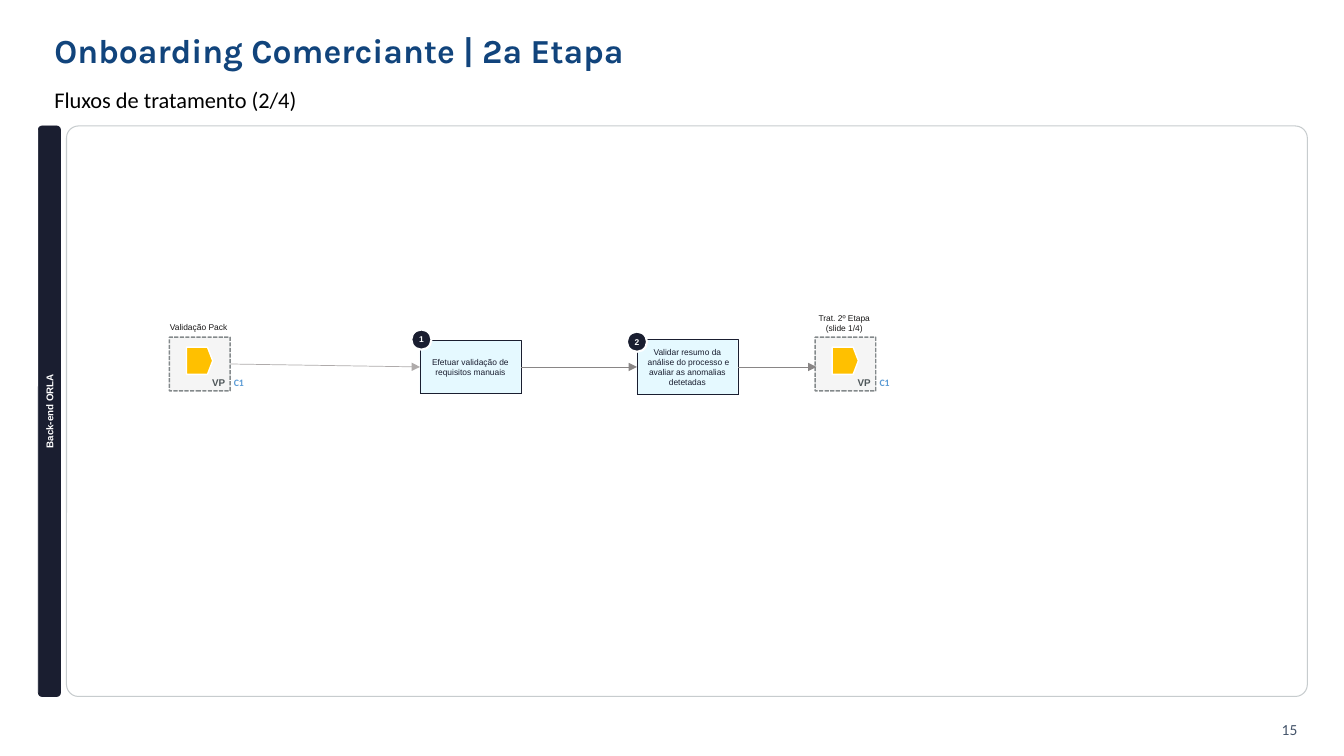
import pptx
import pptx.util
import pptx.dml.color
import pptx.enum.dml
import pptx.enum.shapes
import pptx.enum.text
import pptx.oxml
import pptx.oxml.ns

Pt = pptx.util.Pt
RGB = pptx.dml.color.RGBColor.from_string
Kind = pptx.enum.shapes.MSO_SHAPE
Dash = pptx.enum.dml.MSO_LINE
Align = pptx.enum.text.PP_ALIGN
Anchor = pptx.enum.text.MSO_ANCHOR
qn = pptx.oxml.ns.qn
NS = pptx.oxml.ns.nsdecls("a")

HUE = {"navy": "1A1E30", "title": "11447C", "white": "FFFFFF", "black": "000000",
       "edge": "C7CCCE", "step": "E5F9FF", "pale": "F3F3F3", "slate": "4E5659",
       "gold": "FFC000", "blue": "5B9BD5", "ink": "181717", "page": "44546A",
       "light": "AFABAB", "grey": "898686"}

deck = pptx.Presentation()
deck.slide_width, deck.slide_height = Pt(960), Pt(540)
slide = deck.slides.add_slide(deck.slide_layouts[5])


def write(shape, text, size, hue, font="Arial", bold=False, align=Align.LEFT,
          anchor=Anchor.TOP, inset=(7.2, 3.6), wrap=True):
    frame = shape.text_frame
    frame.text = text
    form = {"word_wrap": wrap, "vertical_anchor": anchor,
            "margin_left": Pt(inset[0]), "margin_right": Pt(inset[0]),
            "margin_top": Pt(inset[1]), "margin_bottom": Pt(inset[1])}
    for key, value in form.items():
        setattr(frame, key, value)
    for para in frame.paragraphs:
        para.alignment = align
        for key, value in {"name": font, "size": Pt(size), "bold": bold}.items():
            setattr(para.runs[0].font, key, value)
        para.runs[0].font.color.rgb = RGB(HUE[hue])


def draw(shapes, kind, place, fill, edge, width, dash=None):
    shape = shapes.add_shape(kind, *map(Pt, place))
    shape.shadow.inherit = False
    shape.fill.solid()
    shape.fill.fore_color.rgb = RGB(HUE[fill])
    shape.line.color.rgb = RGB(HUE[edge])
    shape.line.width = Pt(width)
    if dash:
        shape.line.dash_style = dash
    return shape


MID = {"align": Align.CENTER, "anchor": Anchor.MIDDLE, "inset": (0, 0)}

# Title, subtitle and page number
title = slide.shapes.title
for key, value in {"left": 31.7, "top": 15.8, "width": 896.4, "height": 43.9}.items():
    setattr(title, key, Pt(value))
write(title, "Onboarding Comerciante | 2ª Etapa", 24, "title", "Karla", True,
      anchor=Anchor.MIDDLE)
title.text_frame.paragraphs[0].line_spacing = 0.9

sub = slide.shapes.add_textbox(Pt(31.7), Pt(58.3), Pt(896.4), Pt(39.6))
write(sub, "Fluxos de tratamento (2/4)", 16, "black", "Calibri")
sub.text_frame.paragraphs[0].space_before = Pt(3.2)

page = slide.shapes.add_textbox(Pt(885.6), Pt(510.5), Pt(48.2), Pt(20.9))
write(page, "15", 11, "page", "Calibri", align=Align.RIGHT, anchor=Anchor.MIDDLE)

# Lane and its side bar
lane = draw(slide.shapes, Kind.ROUNDED_RECTANGLE, (47.5, 90, 886.3, 407.5),
            "white", "edge", 0.75)
lane.adjustments[0] = 0.021
bar = draw(slide.shapes, Kind.ROUNDED_RECTANGLE, (27.4, 90, 15.8, 407.5),
           "navy", "navy", 0.5)
write(bar, "Back-end ORLA", 7, "white", bold=True, **MID)
bar.text_frame._txBody.bodyPr.set("vert", "vert270")

# Numbered steps
steps = []
for num, left, high, text, spot in [
        ("1", 300, 38.2, "Efetuar validação de requisitos manuais", (293.8, 235.4)),
        ("2", 455, 39.2, "Validar resumo da\n análise do processo e avaliar as "
         "anomalias detetadas", (447.8, 236.9))]:
    step = draw(slide.shapes, Kind.RECTANGLE, (left, 262.1 - high / 2, 72, high),
                "step", "navy", 0.25, Dash.ROUND_DOT)
    write(step, text, 6, "navy", **MID)
    badge = draw(slide.shapes, Kind.OVAL, (*spot, 14.4, 14.4), "navy", "white", 1.5)
    write(badge, num, 6, "white", bold=True, **MID)
    steps.append(step)

# Entry and exit packs
packs = []
for left, label, top, high in [(121, "Validação Pack", 226.8, 14.4),
                               (582.2, "Trat. 2º Etapa (slide 1/4)", 220.3, 21.6)]:
    group = slide.shapes.add_group_shape().shapes
    pack = draw(group, Kind.RECTANGLE, (left, 240.8, 43.4, 38.4), "pale", "slate",
                1, Dash.SQUARE_DOT)
    pack.line.dash_style = Dash.DASH
    pack.line._ln.find(qn("a:prstDash")).set("val", "sysDash")
    for hue, share in zip(pack._element.spPr.iter(qn("a:srgbClr")), (81, 67)):
        hue.append(pptx.oxml.parse_xml(f'<a:alpha {NS} val="{share * 1000}"/>'))
    flag = draw(group, Kind.FLOWCHART_OFFPAGE_CONNECTOR,
                (left + 11.9, 248.3, 19.4, 18.7), "gold", "white", 1)
    flag.rotation = 270
    for text, place, form in [
            ("VP", (left + 23.4, 265.7, 23.8, 15.8),
             {"size": 7, "hue": "slate", "bold": True, "wrap": False}),
            ("C1", (left + 39, 265.7, 31, 15.8),
             {"size": 7, "hue": "blue", "font": "Calibri", "bold": True}),
            (label, (left - 9.4, top, 60.5, high),
             {"size": 6, "hue": "ink", "align": Align.CENTER})]:
        write(group.add_textbox(*map(Pt, place)), text, **form)
    packs.append(pack)

# Arrows from left to right
for start, end, hue, width in [(packs[0], steps[0], "light", 0.5),
                               (steps[0], steps[1], "grey", 0.25),
                               (steps[1], None, "grey", 0.25)]:
    link = slide.shapes.add_connector(pptx.enum.shapes.MSO_CONNECTOR.STRAIGHT,
                                      Pt(527), Pt(262.1), Pt(583.2), Pt(262.1))
    link.begin_connect(start, 3)
    if end:
        link.end_connect(end, 1)
    link.line.color.rgb = RGB(HUE[hue])
    link.line.width = Pt(width)
    link.line._ln.append(pptx.oxml.parse_xml(f'<a:tailEnd {NS} type="triangle"/>'))
    link._element.spPr.append(pptx.oxml.parse_xml(f'<a:effectLst {NS}/>'))

deck.save("out.pptx")
